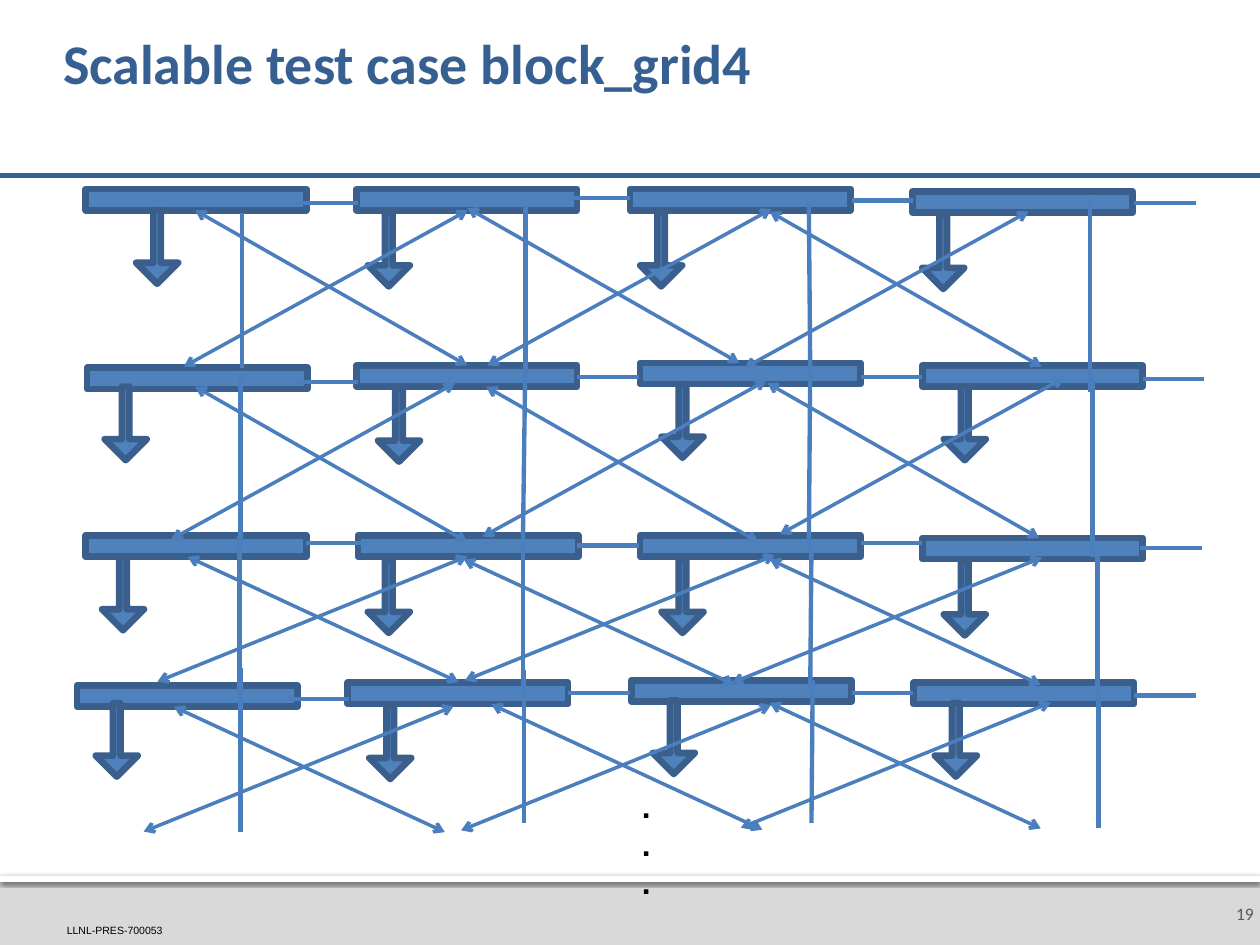
from lxml import etree
from pptx import Presentation
from pptx.dml.color import RGBColor
from pptx.enum import shapes, text
from pptx.oxml import ns
from pptx.util import Pt

NAVY = RGBColor(0x37, 0x60, 0x92)
BLUE = RGBColor(0x4F, 0x81, 0xBD)
EDGE = RGBColor(0x3A, 0x5F, 0x8C)
WIRE = RGBColor(0x4B, 0x7E, 0xBC)
GRAY = RGBColor(0xD9, 0xD9, 0xD9)
DIM = RGBColor(0x59, 0x59, 0x59)
WHITE = RGBColor(0xFF, 0xFF, 0xFF)
BLACK = RGBColor(0, 0, 0)
RECT = shapes.MSO_SHAPE.RECTANGLE
DOWN = shapes.MSO_SHAPE.DOWN_ARROW

ROWS = [
    dict(top=108, fall=(155.3, 88.6), rise=(162.2, -89.3),
         bars=[(49, 0), (203.8, 0), (360, 0), (521.3, 1.4)],
         arrows=[(77.8, 12.2), (210.2, 13.7), (365.8, 13.7), (527, 15.1)],
         links=[(169.2, 7.9), (324.7, 5), (486.7, 6.5), (648, 7.9)],
         drops=[(138.2, 13.7, 138.2, 102.2), (300.2, 9.4, 300.2, 105.1),
                (462.2, 7.9, 463, 102.2), (622.8, 5.8, 622.8, 115.9)],
         falls=[(111.6, 12.2), (267.1, 10.8), (439.9, 13)],
         rises=[(105.1, 101.5), (278.6, 100.8), (425.5, 102.2)]),
    dict(top=207, fall=(155.3, 88.6), rise=(162.2, -89.3),
         bars=[(49.7, 3.2), (203.8, 1.8), (365.8, 0.4), (527, 1.8)],
         arrows=[(59.8, 14), (216, 14.8), (378, 12.6), (539.3, 14)],
         links=[(169.2, 11.2), (329.8, 8.3), (491.8, 8.3), (653, 9.7)],
         drops=[(137.5, 6.1, 137.5, 103.3), (300.2, -1.1, 298.8, 103.3),
                (463, 1.8, 462.2, 106.2), (624.2, 8.3, 624.2, 111.2)],
         falls=[(111.6, 14), (277.9, 14), (438.5, 11.9)],
         rises=[(97.9, 101.2), (275.8, 99.7), (445.7, 98.3)]),
    dict(top=306, fall=(154.8, 71.6), rise=(177.1, -71.6),
         bars=[(49, 0), (204.5, 0), (365.8, 0), (527, 1.4)],
         arrows=[(58.3, 12.2), (210.2, 13.7), (378, 13.7), (539.3, 15.1)],
         links=[(175, 4.3), (329.8, 5.8), (491.8, 4.3), (651.6, 7.2)],
         drops=[(136.8, 0, 136.8, 93.6), (298.8, 1.4, 298.8, 88.6),
                (463.7, 7.2, 463, 88.6), (627.1, 11.5, 627.1, 91.4)],
         falls=[(107.3, 12.2), (265, 13.7), (439.9, 13.7)],
         rises=[(90, 83.5), (265.7, 82.8), (418.3, 84.2)]),
    dict(top=389, fall=(154.8, 71.6), rise=(177.1, -71.6),
         bars=[(43.9, 2.7), (198.7, 1.2), (360.7, -0.2), (522, 1.2)],
         arrows=[(54.7, 12.8), (211, 14.2), (373, 11.3), (534.2, 12.8)],
         links=[(164.2, 10.6), (324.7, 7), (486.7, 7), (648, 8.4)],
         drops=[(137.5, -7.4, 137.5, 86.2), (299.5, -6, 299.5, 81.2),
                (464.4, -0.2, 463.7, 81.2), (627.8, 4.1, 627.8, 84)],
         falls=[(99.4, 14.9), (280.8, 13.5), (439.9, 12.8)],
         rises=[(82.1, 86.2), (263.5, 85.5), (423.4, 84)]),
]


def sub(node, tag, **attrs):
    return etree.SubElement(node, ns.qn(tag), attrs)


def block(slide, kind, x, y, w, h, fill, edge=None):
    shape = slide.shapes.add_shape(kind, Pt(x), Pt(y), Pt(w), Pt(h))
    shape.shadow.inherit = False
    shape.fill.solid()
    shape.fill.fore_color.rgb = fill
    if edge is None:
        shape.line.fill.background()
    else:
        shape.line.color.rgb = edge
        shape.line.width = Pt(3.78)
    return shape


def wire(slide, x1, y1, x2, y2, color=WIRE, width=2.5, heads=False):
    line = slide.shapes.add_connector(
        shapes.MSO_CONNECTOR.STRAIGHT, Pt(x1), Pt(y1), Pt(x2), Pt(y2))
    line.line.color.rgb = color
    line.line.width = Pt(width)
    if heads:
        ln = line.line._get_or_add_ln()
        sub(ln, "a:headEnd", type="arrow")
        sub(ln, "a:tailEnd", type="arrow")
    sub(line._element.spPr, "a:effectLst")


def inset(frame, left, top, right, bottom):
    frame.margin_left, frame.margin_top = Pt(left), Pt(top)
    frame.margin_right, frame.margin_bottom = Pt(right), Pt(bottom)


def style(para, face, size, color, align, bold=False):
    para.alignment = align
    font = para.font
    font.name, font.size, font.bold = face, Pt(size), bold
    font.color.rgb = color


def label(slide, box, words, face, size, color, align, anchor, pads, bold=False):
    frame = slide.shapes.add_textbox(*map(Pt, box)).text_frame
    frame.word_wrap = True
    frame.vertical_anchor = anchor
    inset(frame, *pads)
    frame.text = words
    for para in frame.paragraphs:
        style(para, face, size, color, align, bold)


def header(slide, x, y, w, h):
    title = slide.shapes.title
    title.left, title.top, title.width, title.height = map(Pt, (x, y, w, h))
    frame = title.text_frame
    frame.text = "Scalable test case block_grid4"
    frame.word_wrap = True
    frame.auto_size = text.MSO_AUTO_SIZE.NONE
    frame.vertical_anchor = text.MSO_ANCHOR.TOP
    inset(frame, 0, 3.6, 3.6, 3.6)
    para = frame.paragraphs[0]
    style(para, "Calibri", 32, NAVY, text.PP_ALIGN.LEFT, True)
    para.line_spacing = 0.9
    wire(slide, 0, y + 82.8, 720, y + 82.8, NAVY, 3)


def footer(slide, x, y, w, h):
    block(slide, RECT, x, y, w, h, GRAY)
    strip = block(slide, RECT, x, y, w, 3.6, WHITE)
    glow = sub(strip._element.spPr.find(ns.qn("a:effectLst")), "a:outerShdw",
               blurRad=str(Pt(2.5)), dist=str(Pt(0.8)), dir="5400000",
               algn="t", rotWithShape="0")
    sub(sub(glow, "a:srgbClr", val="000000"), "a:alpha", val="60000")
    label(slide, (x + 38.2, y + 27.4, 69, 7.2), "LLNL-PRES-700053", "Arial", 6,
          BLACK, text.PP_ALIGN.LEFT, text.MSO_ANCHOR.BOTTOM, (0, 0, 0, 0))
    label(slide, (x + w - 25.2, y + 3.6, 25.2, h - 3.6), "19", "Calibri", 10,
          DIM, text.PP_ALIGN.RIGHT, text.MSO_ANCHOR.MIDDLE, (7.2, 3.6, 3.6, 3.6))


def nodes(slide, x, y, row):
    for dx, dy in row["bars"]:
        block(slide, RECT, x + dx, y + dy, 126, 12.2, BLUE, EDGE)
    for dx, dy in row["arrows"]:
        arrow = block(slide, DOWN, x + dx, y + dy, 24, 42, BLUE, EDGE)
        arrow.adjustments[0] = 0.18
        arrow.adjustments[1] = 0.5


def wires(slide, x, y, row):
    for dx, dy in row["links"]:
        wire(slide, x + dx, y + dy, x + dx + 35.2, y + dy)
    for x1, y1, x2, y2 in row["drops"]:
        wire(slide, x + x1, y + y1, x + x2, y + y2)


def cross(slide, x, y, row):
    for starts, (w, h) in ((row["falls"], row["fall"]), (row["rises"], row["rise"])):
        for dx, dy in starts:
            wire(slide, x + dx, y + dy, x + dx + w, y + dy + h, width=2, heads=True)


def grid(slide, x, y):
    for draw in (nodes, wires, cross):
        for row in ROWS:
            draw(slide, x, y + row["top"], row)
    label(slide, (x + 354.2, y + 442.8, 30.2, 79.2), ".\n.\n.", "Arial", 18, BLACK,
          text.PP_ALIGN.CENTER, text.MSO_ANCHOR.MIDDLE, (7.2, 3.6, 7.2, 3.6), True)


def main():
    deck = Presentation()
    deck.slide_width, deck.slide_height = Pt(720), Pt(540)
    slide = deck.slides.add_slide(deck.slide_layouts[5])
    footer(slide, 0, 500.4, 720, 39.6)
    header(slide, 36, 17.3, 648, 79.2)
    grid(slide, 0, 0)
    deck.save("out.pptx")


if __name__ == "__main__":
    main()
